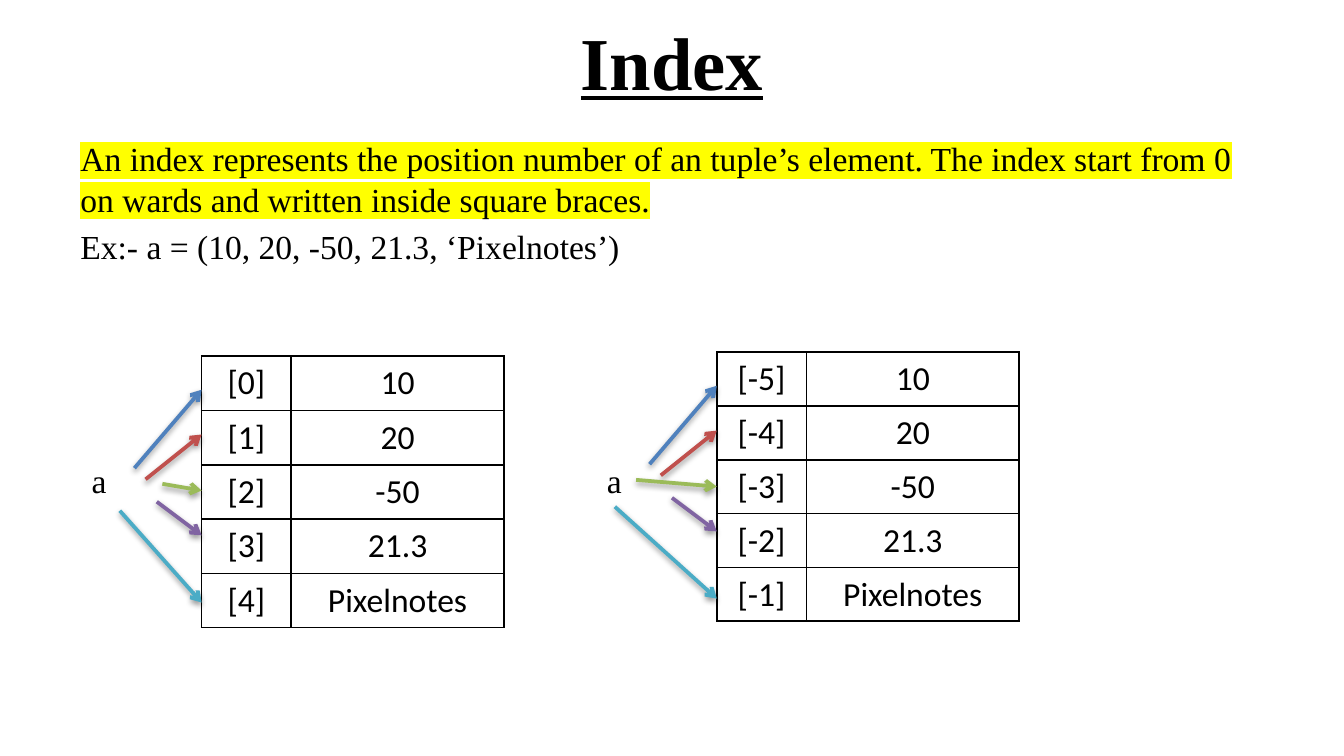
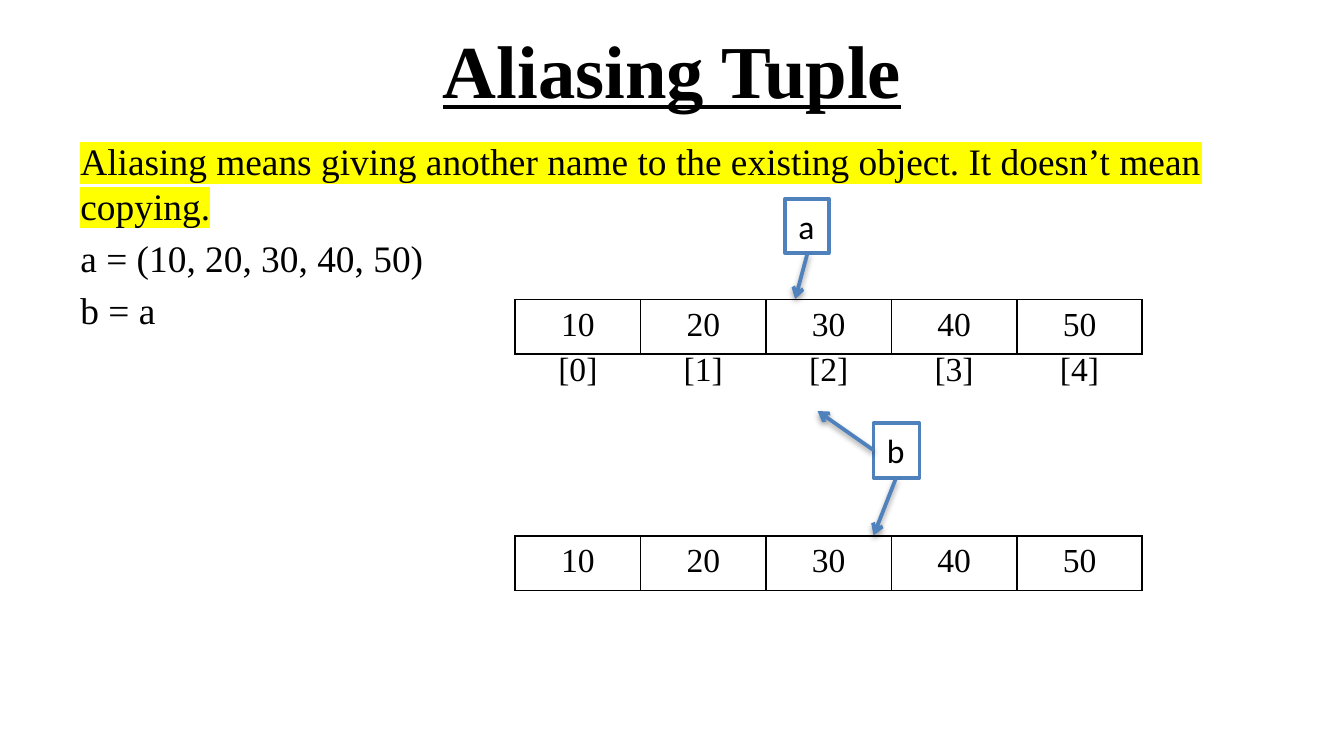
from dataclasses import dataclass

from lxml.etree import SubElement
from pptx import Presentation
from pptx.dml.color import RGBColor
from pptx.enum.shapes import MSO_CONNECTOR, MSO_SHAPE
from pptx.enum.text import MSO_ANCHOR, MSO_AUTO_SIZE, PP_ALIGN
from pptx.oxml import parse_xml
from pptx.oxml.ns import nsdecls, qn
from pptx.util import Inches, Pt


@dataclass(frozen=True)
class Theme:
    serif: str = "Times New Roman"
    sans: str = "Calibri"
    ink: str = "000000"
    paper: str = "FFFFFF"
    marker: str = "FFFF00"
    accents: tuple = ("4F81BD", "C0504D", "9BBB59", "8064A2", "4BACC6")
    title_size: int = 40
    text_size: int = 18
    large_size: int = 20
    arrow_width: int = 2
    border_width: int = 1
    table_style: str = "{2D5ABB26-0587-4C30-8999-92F81FD0307C}"  # no style, no grid


SLIDE_WIDTH, SLIDE_HEIGHT = Inches(10), Inches(5.625)
COLUMNS, ROWS = 120, 67.5
MARGIN, CONTENT_WIDTH = 6, 108


def col(n):
    return round(SLIDE_WIDTH * n / COLUMNS)


def row(n):
    return round(SLIDE_HEIGHT * n / ROWS)


def place(left, top, width, height):
    return col(left), row(top), col(width), row(height)


def assign(target, values):
    for name, value in values.items():
        setattr(target, name, value)


class Deck:
    """Holds the theme and the current slide, and draws elements on the grid."""

    def __init__(self, theme):
        self.theme = theme
        self.prs = Presentation()
        assign(self.prs, {"slide_width": SLIDE_WIDTH, "slide_height": SLIDE_HEIGHT})
        self.s = None

    def add_text(self, p, text, font, size, marked=False, **extra):
        r = p.add_run()
        r.text = text
        assign(r.font, {"name": font, "size": Pt(size), **extra})
        r.font.color.rgb = RGBColor.from_string(self.theme.ink)
        if marked:
            highlight = parse_xml(
                f'<a:highlight {nsdecls("a")}>'
                f'<a:srgbClr val="{self.theme.marker}"/></a:highlight>')
            r.font._element.find(qn("a:latin")).addprevious(highlight)

    def slide(self, title, top):
        self.s = self.prs.slides.add_slide(self.prs.slide_layouts[5])
        sp = self.s.shapes.title
        box = place(MARGIN, top, CONTENT_WIDTH, 11.25)
        assign(sp, dict(zip(("left", "top", "width", "height"), box)))
        tf = sp.text_frame
        assign(tf, {"vertical_anchor": MSO_ANCHOR.MIDDLE,
                    "auto_size": MSO_AUTO_SIZE.NONE, "word_wrap": True})
        p = tf.paragraphs[0]
        p.alignment = PP_ALIGN.CENTER
        self.add_text(p, title, self.theme.serif, self.theme.title_size,
                      bold=True, underline=True)

    def body(self, lines, size, height):
        """Text block whose first paragraph is highlighted."""
        box = place(MARGIN, 11.75, CONTENT_WIDTH, height)
        tf = self.s.shapes.add_textbox(*box).text_frame
        tf.word_wrap = True
        for i, line in enumerate(lines):
            p = tf.add_paragraph() if i else tf.paragraphs[0]
            if i:
                p.space_before = Pt(size * 0.2)
            self.add_text(p, line, self.theme.serif, size, marked=i == 0)

    def fit_text(self, sp, text, font):
        tf = sp.text_frame
        assign(tf, {"word_wrap": False, "auto_size": MSO_AUTO_SIZE.SHAPE_TO_FIT_TEXT,
                    "vertical_anchor": MSO_ANCHOR.TOP})
        p = tf.paragraphs[0]
        p.alignment = PP_ALIGN.LEFT
        self.add_text(p, text, font, self.theme.text_size)

    def label(self, text, left, top):
        sp = self.s.shapes.add_textbox(*place(left, top, 3.7, 4.8))
        self.fit_text(sp, text, self.theme.serif)

    def name_box(self, text, left, top, width):
        sp = self.s.shapes.add_shape(MSO_SHAPE.RECTANGLE, *place(left, top, width, 4.85))
        sp.shadow.inherit = False
        sp.fill.solid()
        sp.fill.fore_color.rgb = RGBColor.from_string(self.theme.paper)
        sp.line.color.rgb = RGBColor.from_string(self.theme.accents[0])
        sp.line.width = Pt(self.theme.arrow_width)
        self.fit_text(sp, text, self.theme.sans)

    def arrow(self, start, end, color):
        (x1, y1), (x2, y2) = start, end
        line = self.s.shapes.add_connector(
            MSO_CONNECTOR.STRAIGHT, col(x1), row(y1), col(x2), row(y2))
        line.line.color.rgb = RGBColor.from_string(color)
        line.line.width = Pt(self.theme.arrow_width)
        properties = line._element.spPr
        SubElement(properties.find(qn("a:ln")), qn("a:tailEnd"), type="arrow")
        properties.append(parse_xml(
            f'<a:effectLst {nsdecls("a")}><a:outerShdw blurRad="40000" dist="20000" '
            f'dir="5400000" rotWithShape="0"><a:srgbClr val="{self.theme.ink}">'
            '<a:alpha val="38000"/></a:srgbClr></a:outerShdw></a:effectLst>'))

    def border(self, cell):
        for side in "LRTB":
            cell._tc.get_or_add_tcPr().append(parse_xml(
                f'<a:ln{side} {nsdecls("a")} w="{Pt(self.theme.border_width)}">'
                f'<a:solidFill><a:srgbClr val="{self.theme.ink}"/></a:solidFill>'
                f'</a:ln{side}>'))

    def table(self, rows, left, top, widths, row_height, font, bordered=True):
        box = place(left, top, sum(widths), row_height * len(rows))
        table = self.s.shapes.add_table(len(rows), len(widths), *box).table
        assign(table, {"first_row": False, "horz_banding": False})
        table._tbl.tblPr.find(qn("a:tableStyleId")).text = self.theme.table_style
        for column, width in zip(table.columns, widths):
            column.width = col(width)
        for i, values in enumerate(rows):
            table.rows[i].height = row(row_height)
            for j, value in enumerate(values):
                cell = table.cell(i, j)
                if bordered:
                    self.border(cell)
                cell.fill.background()
                p = cell.text_frame.paragraphs[0]
                p.alignment = PP_ALIGN.CENTER
                self.add_text(p, value, font, self.theme.text_size)

    def index_diagram(self, first_index, values, left, top, label_top, starts):
        """Table of indexed values with an arrow from the name to each row."""
        rows = [(f"[{i}]", value) for i, value in enumerate(values, first_index)]
        self.table(rows, left, top, (8, 19), 4.85 if first_index == 0 else 4.8,
                   self.theme.sans)
        self.label("a", left - 11, label_top)
        ends = (3, 7, 12, 16, 22)
        for (dx, dy), end, color in zip(starts, ends, self.theme.accents):
            self.arrow((left + dx, top + dy), (left, top + end), color)


def index_slide(deck):
    deck.slide("Index", -0.25)
    deck.body(["An index represents the position number of an tuple’s element. "
               "The index start from 0 on wards and written inside square braces.",
               "Ex:- a = (10, 20, -50, 21.3, ‘Pixelnotes’)"],
              deck.theme.text_size, 18)
    values = ("10", "20", "-50", "21.3", "Pixelnotes")
    deck.index_diagram(0, values, 18, 31.8, 40.45,
                       ((-6, 10), (-5, 11), (-3.5, 11.4), (-4, 13), (-7.3, 13.8)))
    deck.index_diagram(-5, values, 64, 31.45, 40.45,
                       ((-6, 10), (-5, 11), (-7.2, 11.4), (-4, 13), (-9.1, 13.8)))


def aliasing_slide(deck):
    deck.slide("Aliasing Tuple", 0.5)
    deck.body(["Aliasing means giving another name to the existing object. "
               "It doesn’t mean copying.",
               "a = (10, 20, 30, 40, 50)", "b = a"],
              deck.theme.large_size, 47)
    deck.name_box("a", 70.1, 17.75, 3.9)
    deck.name_box("b", 78, 37.8, 4.1)
    for start, end in (((72.1, 22.6), (71, 26.7)),
                       ((80, 42.7), (78, 47.8)),
                       ((78, 40.2), (73, 36.7))):
        deck.arrow(start, end, deck.theme.accents[0])

    values = [str(n) for n in range(10, 60, 10)]
    indexes = [f"[{i}]" for i in range(len(values))]
    widths = [11.2] * len(values)
    for cells, top, bordered in ((values, 26.75, True), (indexes, 30.75, False),
                                 (values, 47.85, True)):
        deck.table([cells], 46, top, widths, 4.87, deck.theme.serif, bordered)


def main():
    deck = Deck(Theme())
    index_slide(deck)
    aliasing_slide(deck)
    deck.prs.save("out.pptx")


if __name__ == "__main__":
    main()
